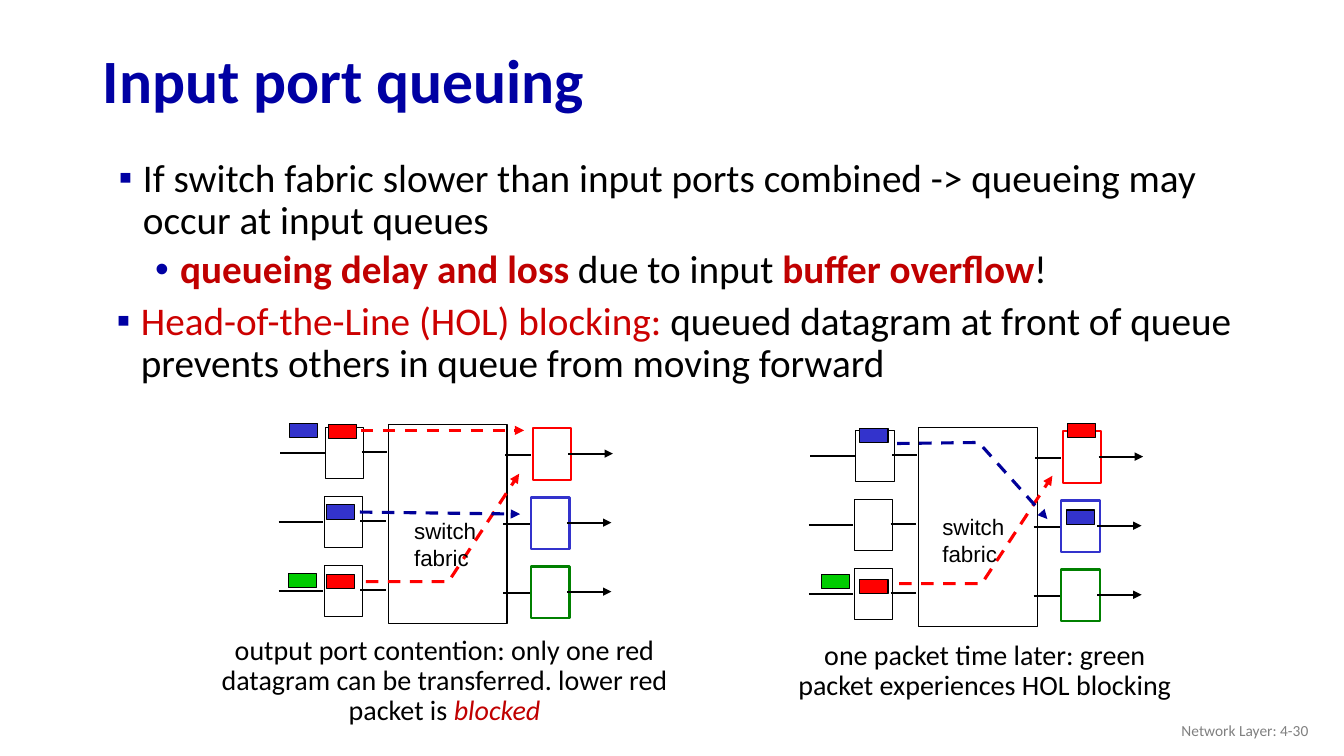
from lxml.etree import SubElement
from pptx import Presentation
from pptx.dml.color import RGBColor
from pptx.enum.dml import MSO_LINE
from pptx.enum.shapes import MSO_CONNECTOR, MSO_SHAPE
from pptx.enum.text import MSO_ANCHOR, PP_ALIGN
from pptx.oxml.ns import qn
from pptx.util import Inches, Pt

# The slide is laid out on square cells of a tenth of an inch.
CELL = Inches(0.1)
SLIDE_COLS, SLIDE_ROWS = 133.33, 75

WHITE = RGBColor(0xFF, 0xFF, 0xFF)
BLACK = RGBColor(0x00, 0x00, 0x00)
NAVY = RGBColor(0x00, 0x00, 0xA3)
ROUTE_BLUE = RGBColor(0x00, 0x00, 0x99)
BLUE = RGBColor(0x33, 0x33, 0xCC)
RED = RGBColor(0xFF, 0x00, 0x00)
GREEN = RGBColor(0x00, 0xCC, 0x00)
DARK_GREEN = RGBColor(0x00, 0x80, 0x00)
TERM_RED = RGBColor(0xCC, 0x00, 0x00)
STRONG_RED = RGBColor(0xC0, 0x00, 0x00)
GREY = RGBColor(0x80, 0x80, 0x80)

PORT_PITCH = 6.85
PORT_COLORS = (RED, BLUE, DARK_GREEN)
# Start column, end column, row, arrowhead: all measured from the fabric's corner
PORT_LINKS = ((11.6, 14.2, 3, False), (-2.6, -0.1, 2.7, False),
              (-10.7, -6.3, 2.8, False), (17.9, 22.3, 2.9, True))


def cells(*counts):
    return [round(count * CELL) for count in counts]


def add_bullet(paragraph, char, margin, hang):
    props = paragraph._p.get_or_add_pPr()
    props.set("marL", str(Inches(margin)))
    props.set("indent", str(-Inches(hang)))
    bullet_color = SubElement(props, qn("a:buClr"))
    SubElement(bullet_color, qn("a:srgbClr"), val=str(NAVY))
    SubElement(props, qn("a:buFont"), typeface="Arial")
    SubElement(props, qn("a:buChar"), char=char)


def add_text(slide, box, paragraphs, size, font="Calibri", color=BLACK, bold=False,
             align=PP_ALIGN.LEFT, anchor=MSO_ANCHOR.TOP, spacing=0.9, wrap=True,
             bullets=(), space_before=0):
    """Each paragraph is a list of (text, overrides) runs; overrides are color, bold, italic."""
    frame = slide.shapes.add_textbox(*cells(*box)).text_frame
    frame.word_wrap = wrap
    frame.vertical_anchor = anchor
    for index, runs in enumerate(paragraphs):
        paragraph = frame.add_paragraph() if index else frame.paragraphs[0]
        if bullets:
            add_bullet(paragraph, *bullets[index])
        paragraph.alignment = align
        paragraph.line_spacing = spacing
        paragraph.space_before = Pt(space_before if index else 0)
        for text, overrides in runs:
            run = paragraph.add_run()
            run.text = text
            run.font.name = font
            run.font.size = Pt(size)
            run.font.bold = overrides.get("bold", bold)
            run.font.italic = overrides.get("italic", False)
            run.font.color.rgb = overrides.get("color", color)


def add_box(slide, box, fill=WHITE, outline=BLACK, width=0.75):
    shape = slide.shapes.add_shape(MSO_SHAPE.RECTANGLE, *cells(*box))
    shape.shadow.inherit = False
    shape.fill.solid()
    shape.fill.fore_color.rgb = fill
    shape.line.color.rgb = outline
    shape.line.width = Pt(width)


def add_path(slide, points, color=BLACK, width=1.5, dashed=False, arrow=False):
    """A connector for two points, an open outline for more."""
    start, *others = [cells(*point) for point in points]
    if len(others) == 1:
        path = slide.shapes.add_connector(MSO_CONNECTOR.STRAIGHT, *start, *others[0])
    else:
        builder = slide.shapes.build_freeform(*start)
        builder.add_line_segments(others, close=False)
        path = builder.convert_to_shape()
        path.fill.background()
    path.line.color.rgb = color
    path.line.width = Pt(width)
    if dashed:
        path.line.dash_style = MSO_LINE.DASH
    props = path.element.spPr
    if arrow:
        SubElement(props.find(qn("a:ln")), qn("a:tailEnd"), type="triangle")
    SubElement(props, qn("a:effectLst"))


def add_switch(slide, left, top, routes, packets, label):
    """Routes, packets and label are placed relative to the fabric's corner."""
    add_box(slide, (left, top, 11.8, 19.8))
    for port, color in enumerate(PORT_COLORS):
        x = left - (0.15 if port else 0)
        y = top + port * PORT_PITCH
        add_box(slide, (x - 6.2, y + 0.3, 3.8, 5.1))
        add_box(slide, (x + 14.35, y + 0.4, 3.8, 5.1), outline=color, width=1.5)
        for start, end, row, arrow in PORT_LINKS:
            add_path(slide, [(x + start, y + row), (x + end, y + row)], arrow=arrow)
    for color, points in routes:
        add_path(slide, [(left + x, top + y) for x, y in points],
                 color=color, width=2.25, dashed=True, arrow=True)
    for color, x, y in packets:
        add_box(slide, (left + x, top + y, 2.8, 1.4), fill=color)
    add_text(slide, (left + label[0], top + label[1], 8.2, 6.4),
             [[("switch", {})], [("fabric", {})]],
             size=16, font="Arial", spacing=1, wrap=False)


def main():
    deck = Presentation()
    deck.slide_width, deck.slide_height = cells(SLIDE_COLS, SLIDE_ROWS)
    slide = deck.slides.add_slide(deck.slide_layouts[6])

    topic, subtopic = ("▪", 0.39, 0.24), ("•", 0.76, 0.25)
    strong = {"color": STRONG_RED, "bold": True}
    add_text(slide, (9.2, 3.4, 115, 9.8), [[("Input port queuing", {})]],
             size=44, color=NAVY, bold=True, anchor=MSO_ANCHOR.MIDDLE)
    add_text(slide, (9.3, 15.2, 115, 14.8), [
        [("If switch fabric slower than input ports combined -> queueing may "
          "occur at input queues", {})],
        [("queueing delay and loss", strong), (" due to input ", {}),
         ("buffer overflow", strong), ("!", {})],
    ], size=28, bullets=(topic, subtopic), space_before=5)
    add_text(slide, (9.1, 29.4, 115, 10.8), [[
        ("Head-of-the-Line (HOL) blocking:", {"color": TERM_RED}),
        (" queued datagram at front of queue prevents others in queue "
         "from moving forward", {}),
    ]], size=28, bullets=(topic,))

    add_switch(
        slide, 38.5, 42.1,
        routes=((RED, [(-2.7, 0.6), (13.5, 0.6)]),
                (RED, [(-2.2, 15.6), (6, 15.6), (13, 4.9)]),
                (ROUTE_BLUE, [(-2.8, 8.7), (13.1, 8.9)])),
        packets=((RED, -5.9, 0), (BLUE, -6.1, 8), (RED, -6.1, 14.9),
                 (BLUE, -9.8, -0.1), (GREEN, -9.9, 14.8)),
        label=(1.6, 8.7))
    add_switch(
        slide, 91.1, 42.4,
        routes=((RED, [(-1.9, 15.5), (6.3, 15.5), (13.3, 4.8)]),
                (ROUTE_BLUE, [(-2.1, 1.6), (6, 1.5), (12.8, 9.1)])),
        packets=((RED, 14.8, -0.4), (BLUE, -5.8, 0.1), (RED, -5.8, 15.1),
                 (GREEN, -9.6, 14.6), (BLUE, 14.7, 8.2)),
        label=(1.4, 8))

    add_text(slide, (19.7, 62.6, 48.8, 10.1), [[
        ("output port contention: only one red datagram can be transferred. "
         "lower red packet is ", {}),
        ("blocked", {"color": STRONG_RED, "italic": True}),
    ]], size=20, align=PP_ALIGN.CENTER)
    add_text(slide, (78.1, 63.1, 39.2, 7.1), [[
        ("one packet time later: green packet experiences HOL blocking", {}),
    ]], size=20, align=PP_ALIGN.CENTER)
    add_text(slide, (100.8, 70.5, 30, 4), [[("Network Layer: 4-30", {})]],
             size=11, color=GREY, align=PP_ALIGN.RIGHT, anchor=MSO_ANCHOR.MIDDLE, spacing=1)

    deck.save("out.pptx")


if __name__ == "__main__":
    main()
